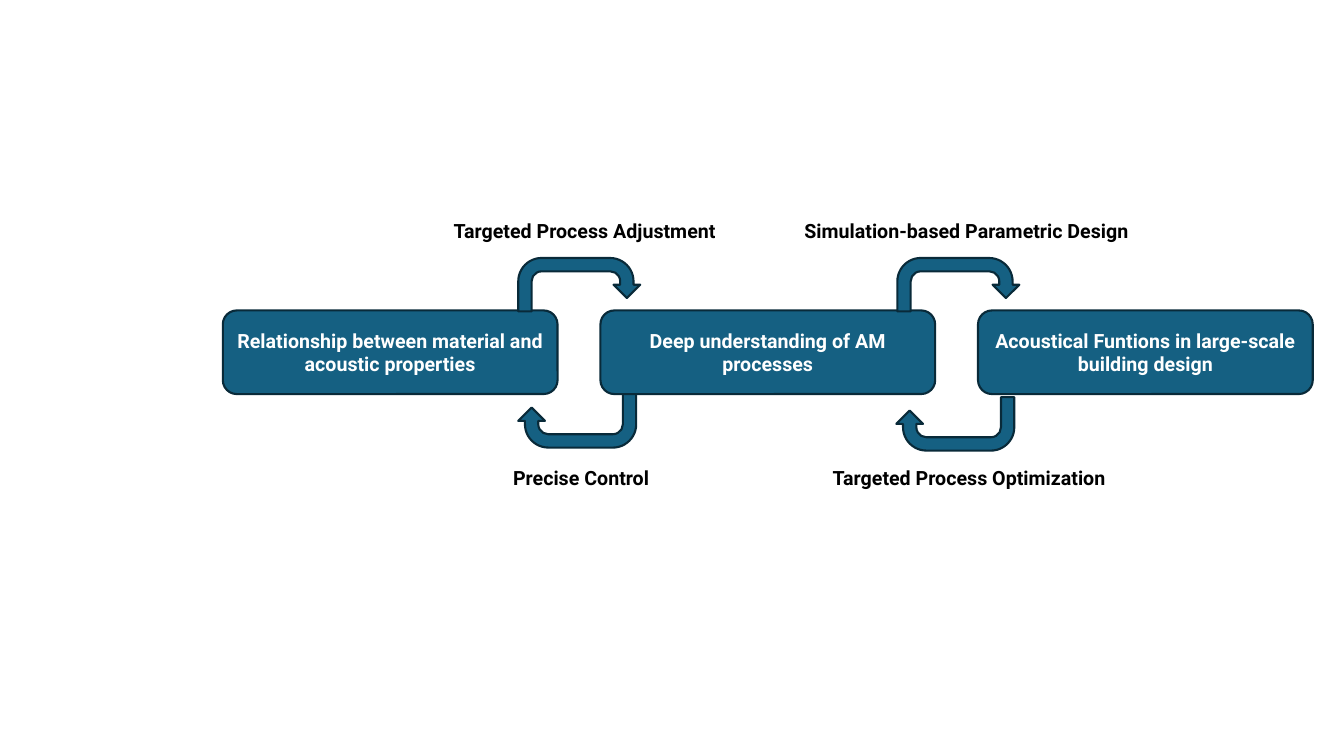
from pptx import Presentation
from pptx.dml.color import RGBColor
from pptx.enum.shapes import MSO_SHAPE
from pptx.enum.text import MSO_ANCHOR, MSO_AUTO_SIZE, PP_ALIGN
from pptx.util import Inches, Pt

BLUE = RGBColor(0x15, 0x60, 0x82)
NAVY = RGBColor(0x09, 0x2A, 0x39)
WHITE = RGBColor(0xFF, 0xFF, 0xFF)
BLACK = RGBColor(0x00, 0x00, 0x00)

presentation = Presentation()
presentation.slide_width = Inches(13.33)
presentation.slide_height = Inches(7.5)
slide = presentation.slides.add_slide(presentation.slide_layouts[6])


def add_blue_shape(kind, left, top, width, height):
    shape = slide.shapes.add_shape(
        kind, Inches(left), Inches(top), Inches(width), Inches(height))
    shape.shadow.inherit = False
    shape.fill.solid()
    shape.fill.fore_color.rgb = BLUE
    shape.line.color.rgb = NAVY
    shape.line.width = Pt(1.5)
    return shape


def write_text(shape, text, color, alignment):
    shape.text_frame.word_wrap = True
    paragraph = shape.text_frame.paragraphs[0]
    paragraph.text = text
    paragraph.alignment = alignment
    font = paragraph.runs[0].font
    for name, value in {"name": "Roboto", "size": Pt(14), "bold": True}.items():
        setattr(font, name, value)
    font.color.rgb = color


# Three stages, evenly spaced
stages = [
    "Relationship between material and acoustic properties",
    "Deep understanding of AM processes",
    "Acoustical Funtions in large-scale building design",
]
for index, text in enumerate(stages):
    stage = add_blue_shape(
        MSO_SHAPE.ROUNDED_RECTANGLE, 2.21 + 3.745 * index, 3.08, 3.32, 0.83)
    stage.text_frame.vertical_anchor = MSO_ANCHOR.MIDDLE
    write_text(stage, text, WHITE, PP_ALIGN.CENTER)

# Forward arrows above the stages, feedback arrows turned round below them
arrows = [
    (5.14, 2.56, 1.21, 0),
    (8.9, 2.56, 1.21, 0),
    (5.14, 3.91, 1.17, 180),
    (8.89, 3.94, 1.17, 180),
]
for left, top, width, rotation in arrows:
    arrow = add_blue_shape(MSO_SHAPE.U_TURN_ARROW, left, top, width, 0.53)
    arrow.rotation = rotation

# Arrow labels
labels = [
    ("Targeted Process Adjustment", 4.4, 2.12, 2.94),
    ("Simulation-based Parametric Design", 7.88, 2.12, 3.63),
    ("Precise Control", 4.99, 4.57, 1.76),
    ("Targeted Process Optimization", 8.16, 4.57, 3.63),
]
for text, left, top, width in labels:
    label = slide.shapes.add_textbox(
        Inches(left), Inches(top), Inches(width), Inches(0.34))
    label.text_frame.auto_size = MSO_AUTO_SIZE.SHAPE_TO_FIT_TEXT
    write_text(label, text, BLACK, PP_ALIGN.LEFT)

presentation.save("out.pptx")
